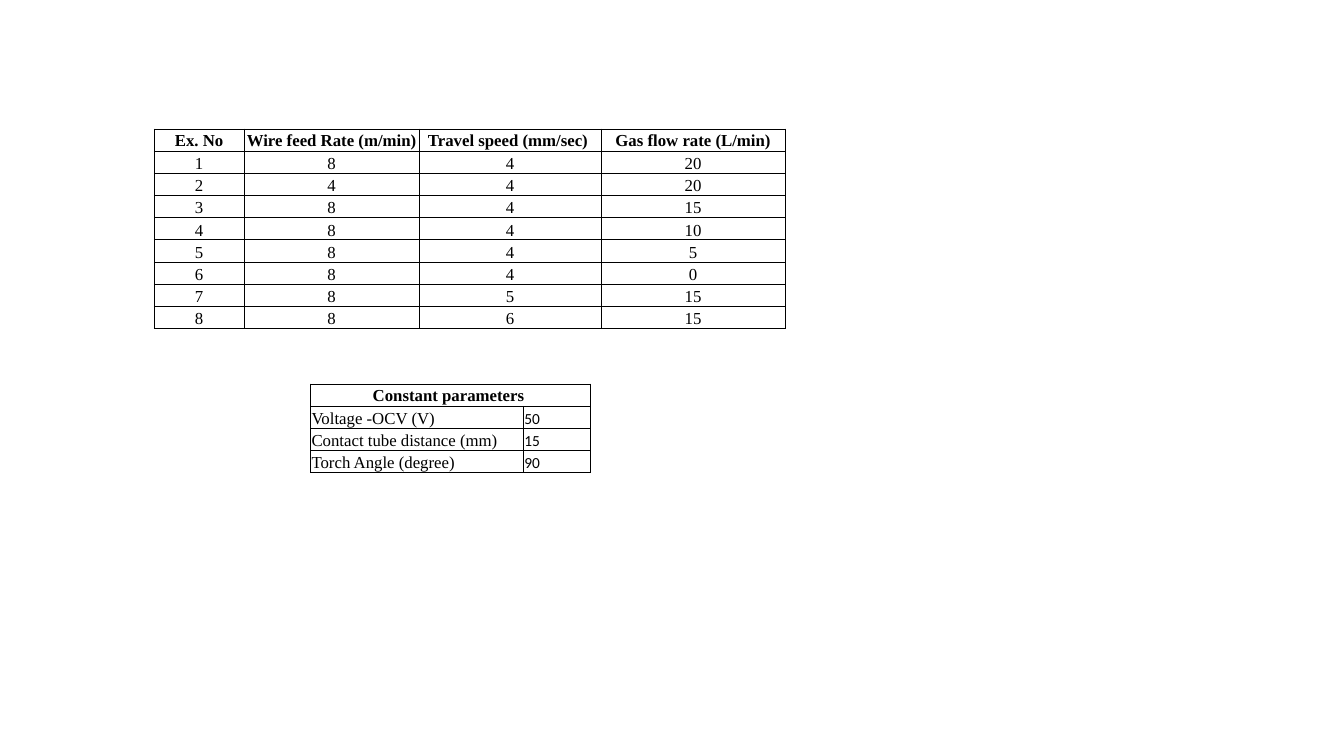
from dataclasses import dataclass

from lxml import etree
from pptx import Presentation
from pptx import util as u
from pptx.dml.color import RGBColor
from pptx.enum import text
from pptx.oxml.ns import qn

SLIDE_WIDTH, SLIDE_HEIGHT = 13.33, 7.5
ROW_HEIGHT = 0.22
INK = "000000"
BORDER_POINTS = 0.5


@dataclass(frozen=True)
class Font:
    name: str
    size: float
    bold: bool = False


HEADING = Font("Times New Roman", 12, bold=True)
BODY = Font("Times New Roman", 12)
VALUE = Font("Calibri", 11)


@dataclass(frozen=True)
class Column:
    width: float
    font: Font = BODY
    align: text.PP_ALIGN = text.PP_ALIGN.CENTER


@dataclass(frozen=True)
class Grid:
    """A bordered table; left and top are shares of the slide's size."""
    left: float
    top: float
    columns: list[Column]
    header: list[str]
    rows: list[tuple]


EXPERIMENTS = Grid(
    left=1.53 / SLIDE_WIDTH,
    top=1.28 / SLIDE_HEIGHT,
    columns=[Column(width) for width in (0.89, 1.74, 1.8, 1.83)],
    header=["Ex. No", "Wire feed Rate (m/min) ", "Travel speed (mm/sec) ",
            "Gas flow rate (L/min)"],
    rows=[(1, 8, 4, 20), (2, 4, 4, 20), (3, 8, 4, 15), (4, 8, 4, 10),
          (5, 8, 4, 5), (6, 8, 4, 0), (7, 8, 5, 15), (8, 8, 6, 15)],
)
CONSTANTS = Grid(
    left=3.08 / SLIDE_WIDTH,
    top=3.81 / SLIDE_HEIGHT,
    columns=[Column(2.11, BODY, text.PP_ALIGN.LEFT),
             Column(0.67, VALUE, text.PP_ALIGN.LEFT)],
    header=["Constant parameters "],
    rows=[("Voltage -OCV (V)", 50), ("Contact tube distance (mm)", 15),
          ("Torch Angle (degree)", 90)],
)


def colour(code: str) -> RGBColor:
    return RGBColor.from_string(code)


def add_borders(cell) -> None:
    """Put a thin line on all four sides, ahead of the cell's fill."""
    properties = cell._tc.get_or_add_tcPr()
    for place, side in enumerate(("a:lnL", "a:lnR", "a:lnT", "a:lnB")):
        line = etree.Element(qn(side), w=str(u.Pt(BORDER_POINTS)))
        fill = etree.SubElement(line, qn("a:solidFill"))
        etree.SubElement(fill, qn("a:srgbClr"), val=INK)
        properties.insert(place, line)


def format_cell(cell) -> None:
    cell.margin_left = cell.margin_right = cell.margin_top = u.Inches(0.01)
    cell.margin_bottom = 0
    cell.fill.background()
    add_borders(cell)


def write_cell(cell, words: str, font: Font, align: text.PP_ALIGN,
               anchor: text.MSO_ANCHOR) -> None:
    cell.vertical_anchor = anchor
    para = cell.text_frame.paragraphs[0]
    para.text = words
    para.alignment = align
    for span in para.runs:
        span.font.name = font.name
        span.font.size = u.Pt(font.size)
        span.font.bold = font.bold
        span.font.color.rgb = colour(INK)


def add_grid(page, grid: Grid) -> None:
    row_count, column_count = len(grid.rows) + 1, len(grid.columns)
    table = page.shapes.add_table(
        row_count, column_count,
        u.Inches(grid.left * SLIDE_WIDTH), u.Inches(grid.top * SLIDE_HEIGHT),
        u.Inches(sum(column.width for column in grid.columns)),
        u.Inches(ROW_HEIGHT * row_count)).table
    table.first_row = table.horz_banding = False
    for row in table.rows:
        row.height = u.Inches(ROW_HEIGHT)
    for column, plan in zip(table.columns, grid.columns):
        column.width = u.Inches(plan.width)
    for cell in table.iter_cells():
        format_cell(cell)

    if len(grid.header) < column_count:
        table.cell(0, 0).merge(table.cell(0, column_count - 1))
    for index, words in enumerate(grid.header):
        write_cell(table.cell(0, index), words, HEADING,
                   text.PP_ALIGN.CENTER, text.MSO_ANCHOR.MIDDLE)
    for number, values in enumerate(grid.rows, start=1):
        for index, (value, plan) in enumerate(zip(values, grid.columns)):
            write_cell(table.cell(number, index), str(value), plan.font,
                       plan.align, text.MSO_ANCHOR.BOTTOM)


def main() -> None:
    deck = Presentation()
    deck.slide_width = u.Inches(SLIDE_WIDTH)
    deck.slide_height = u.Inches(SLIDE_HEIGHT)
    page = deck.slides.add_slide(deck.slide_layouts.get_by_name("Blank"))
    for grid in (EXPERIMENTS, CONSTANTS):
        add_grid(page, grid)
    deck.save("out.pptx")


if __name__ == "__main__":
    main()
